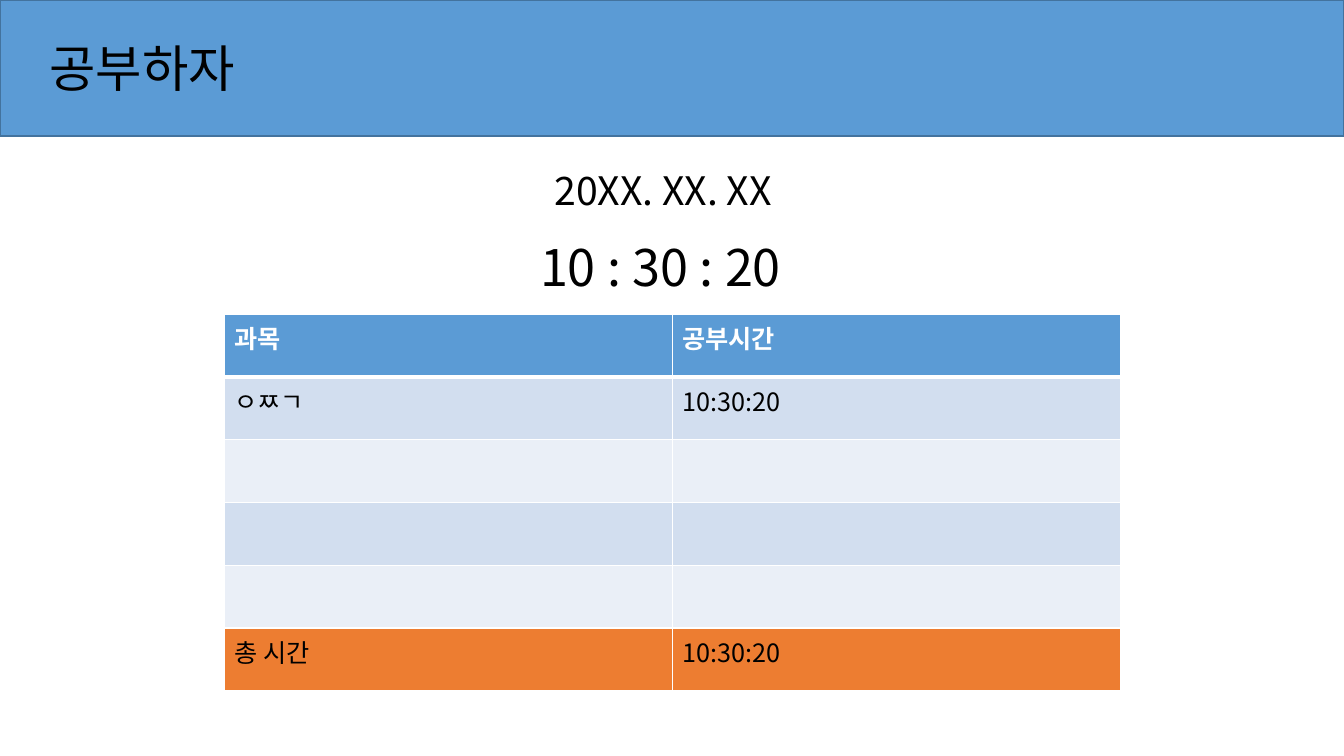
from dataclasses import dataclass

from lxml.etree import SubElement
from pptx import Presentation
from pptx.dml.color import RGBColor
from pptx.enum.shapes import MSO_SHAPE as Preset
from pptx.oxml.ns import qn
from pptx.util import Cm, Pt

FONT = "Noto Sans CJK KR"
COLORS = {
    "blue": "5B9BD5",
    "outline": "43739E",
    "band_dark": "D2DEEF",
    "band_light": "EAEFF7",
    "orange": "ED7D31",
    "white": "FFFFFF",
    "black": "000000",
}


@dataclass(frozen=True)
class Label:
    text: str
    left: float
    top: float
    width: float
    height: float
    size: int


@dataclass(frozen=True)
class StudyRow:
    subject: str
    time: str
    fill: str
    ink: str = "black"
    bold: bool = False
    top_rule: float = 1
    bottom_rule: float = 1


LABELS = [
    Label("공부하자", 1, 0.82, 5.64, 1.8, 36),
    Label("20XX. XX. XX", 13.72, 4.06, 6.43, 1.45, 28),
    Label("10 : 30 : 20", 13.36, 5.82, 7.11, 1.8, 36),
]
STUDY_ROWS = [
    StudyRow("과목", "공부시간", "blue", "white", True, bottom_rule=3),
    StudyRow("ㅇㅉㄱ", "10:30:20", "band_dark", top_rule=3),
    StudyRow("", "", "band_light"),
    StudyRow("", "", "band_dark"),
    StudyRow("", "", "band_light"),
    StudyRow("총 시간", "10:30:20", "orange"),
]


def color(name: str) -> RGBColor:
    return RGBColor.from_string(COLORS[name])


def add_run(paragraph, text: str, size: int, ink: str = "black", bold: bool = False) -> None:
    run = paragraph.add_run()
    run.text = text
    run.font.name = FONT
    run.font.size = Pt(size)
    run.font.bold = bold
    run.font.color.rgb = color(ink)
    SubElement(run.font._element, qn("a:ea"), typeface=FONT)


def add_label(slide, label: Label) -> None:
    box = slide.shapes.add_textbox(
        Cm(label.left), Cm(label.top), Cm(label.width), Cm(label.height)
    )
    box.text_frame.word_wrap = True
    add_run(box.text_frame.paragraphs[0], label.text, label.size)


def add_borders(cell, row: StudyRow) -> None:
    properties = cell._tc.get_or_add_tcPr()
    rules = {"lnL": 1, "lnR": 1, "lnT": row.top_rule, "lnB": row.bottom_rule}
    for position, (side, width) in enumerate(rules.items()):
        line = SubElement(properties, qn(f"a:{side}"), w=str(Pt(width)))
        fill = SubElement(line, qn("a:solidFill"))
        SubElement(fill, qn("a:srgbClr"), val=COLORS["white"])
        properties.insert(position, line)


def add_banner(slide, width: int) -> None:
    banner = slide.shapes.add_shape(Preset.RECTANGLE, 0, 0, width, Cm(3.43))
    banner.shadow.inherit = False
    banner.fill.solid()
    banner.fill.fore_color.rgb = color("blue")
    banner.line.color.rgb = color("outline")
    banner.line.width = Pt(1)


def add_study_table(slide, rows: list[StudyRow]) -> None:
    table = slide.shapes.add_table(
        len(rows), 2, Cm(5.65), Cm(7.91), Cm(22.58), Cm(9.5)
    ).table
    table.horz_banding = False
    table.first_row = False
    for index, row in enumerate(rows):
        for column, text in enumerate((row.subject, row.time)):
            cell = table.cell(index, column)
            cell.fill.solid()
            cell.fill.fore_color.rgb = color(row.fill)
            add_borders(cell, row)
            if text:
                add_run(cell.text_frame.paragraphs[0], text, 18, row.ink, row.bold)


deck = Presentation()
deck.slide_width, deck.slide_height = Cm(33.87), Cm(19.05)
study_slide = deck.slides.add_slide(deck.slide_layouts[6])
add_banner(study_slide, deck.slide_width)
add_study_table(study_slide, STUDY_ROWS)
for label in LABELS:
    add_label(study_slide, label)
deck.save("out.pptx")
